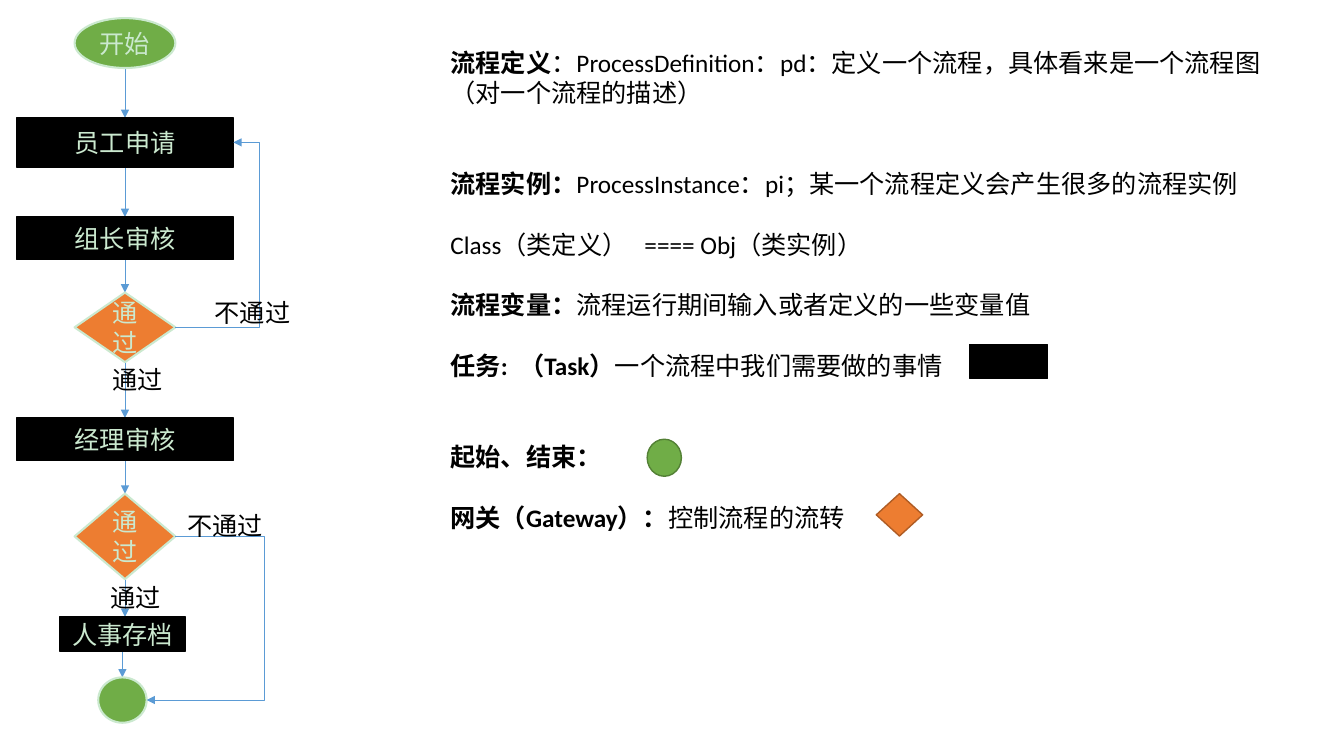
import itertools
import pptx
import pptx.util
import pptx.dml.color
import pptx.enum.shapes
import pptx.enum.text
import pptx.oxml
import pptx.oxml.ns

RGB = pptx.dml.color.RGBColor
BLACK = RGB(0x00, 0x00, 0x00)
MINT = RGB(0xCB, 0xE9, 0xCF)
GREEN = RGB(0x70, 0xAD, 0x47)
DARK_GREEN = RGB(0x53, 0x80, 0x35)
ORANGE = RGB(0xED, 0x7D, 0x31)
DARK_ORANGE = RGB(0xAF, 0x5C, 0x24)
BLUE = RGB(0x5B, 0x9B, 0xD5)

SHAPE = pptx.enum.shapes.MSO_SHAPE
LINK = pptx.enum.shapes.MSO_CONNECTOR
ALIGN = pptx.enum.text.PP_ALIGN

deck = pptx.Presentation()
deck.slide_width = pptx.util.Inches(13.33)
deck.slide_height = pptx.util.Inches(7.5)
slide = deck.slides.add_slide(deck.slide_layouts[6])

# Grid: 100 columns by 100 rows
COL = deck.slide_width / 100
ROW = deck.slide_height / 100


def write(text, *, box=None, kind=None, fill=None, line=None, weight=1.0,
          color=BLACK, align=ALIGN.LEFT, wrap=True):
    """Place text at box; each paragraph is (space before, [(words, bold), ...])."""
    left, top, width, height = box
    frame = (round(left * COL), round(top * ROW), round(width * COL), round(height * ROW))
    if kind is None:
        item = slide.shapes.add_textbox(*frame)
    else:
        item = slide.shapes.add_shape(kind, *frame)
        item.shadow.inherit = False
        item.fill.solid()
        item.fill.fore_color.rgb = fill
        item.line.color.rgb = line
        item.line.width = pptx.util.Pt(weight)
    body = item.text_frame
    body.word_wrap = wrap
    paragraphs = [(0, [(text, False)])] if isinstance(text, str) else text
    for number, (gap, pieces) in enumerate(paragraphs):
        paragraph = body.add_paragraph() if number else body.paragraphs[0]
        paragraph.alignment = align
        paragraph.space_before = pptx.util.Pt(gap)
        for words, bold in pieces:
            if words:
                run = paragraph.add_run()
                run.text = words
                run.font.name = "Calibri"
                run.font.size = pptx.util.Pt(18)
                run.font.bold = bold
                run.font.color.rgb = color


def arrow(x1, y1, x2, y2, detour=None):
    """Draw an arrow; detour is the column where a bent one turns."""
    link = slide.shapes.add_connector(
        LINK.STRAIGHT if detour is None else LINK.ELBOW,
        round(x1 * COL), round(y1 * ROW), round(x2 * COL), round(y2 * ROW))
    link.line.color.rgb = BLUE
    link.line.width = pptx.util.Pt(0.5)
    properties = link._element.spPr
    head = pptx.oxml.ns.qn("a:tailEnd")
    link.line._get_or_add_ln().append(properties.makeelement(head, {"type": "triangle"}))
    properties.append(properties.makeelement(pptx.oxml.ns.qn("a:effectLst"), {}))
    if detour is not None:
        turn = round((detour - x1) / (x2 - x1) * 100000)
        guides = properties.find(".//" + pptx.oxml.ns.qn("a:avLst"))
        guides.append(guides.makeelement(
            pptx.oxml.ns.qn("a:gd"), {"name": "adj1", "fmla": f"val {turn}"}))


# Flow steps: words, look, centre column, top row, width, height
ROUND = (SHAPE.OVAL, GREEN, MINT, 1.5)
TASK = (SHAPE.RECTANGLE, BLACK, BLACK, 1)
GATE = (SHAPE.DIAMOND, ORANGE, MINT, 1.5)
AXIS, END_AXIS = 9.3, 9.11
steps = [
    ("开始", ROUND, AXIS, 2.4, 7.5, 6.6),
    ("员工申请", TASK, AXIS, 15.6, 16.13, 6.5),
    ("组长审核", TASK, AXIS, 28.7, 16.13, 5.6),
    ("通过", GATE, AXIS, 38.7, 7.5, 9.2),
    ("经理审核", TASK, AXIS, 55.3, 16.13, 5.6),
    ("通过", GATE, AXIS, 65.3, 7.5, 11.3),
    ("人事存档", TASK, END_AXIS, 81.6, 9.38, 4.5),
    ("", ROUND, END_AXIS, 89.6, 3.6, 6),
]

# Arrows down the flow
for (_, _, axis, top, _, height), following in itertools.pairwise(steps):
    arrow(axis, top + height, axis, following[3])

for words, (kind, fill, line, weight), axis, top, width, height in steps:
    write(words, box=(axis - width / 2, top, width, height), kind=kind, fill=fill,
          line=line, weight=weight, color=MINT, align=ALIGN.CENTER)

# Rejections: from a gate's right side to another step's right side
for gate, target, detour in ((3, 1, 19.28), (5, 7, 19.65)):
    (x1, y1), (x2, y2) = [
        (axis + width / 2, top + height / 2)
        for _, _, axis, top, width, height in (steps[gate], steps[target])]
    arrow(x1, y1, x2, y2, detour)

# Branch labels
for words, left, top, width in (("不通过", 15.23, 38.7, 7.2), ("通过", 7.65, 47.6, 5.3),
                                ("通过", 7.5, 76.4, 5.3), ("不通过", 13.2, 66.8, 7.2)):
    write(words, box=(left, top, width, 5.3), wrap=False)

# Definitions, spaced by whole lines
LINE = 21.7
write([
    (0, [("流程定义", True),
         ("：ProcessDefinition：pd：定义一个流程，具体看来是一个流程图（对一个流程的描述）", False)]),
    (2 * LINE, [("流程实例：", True),
                ("ProcessInstance：pi；某一个流程定义会产生很多的流程实例", False)]),
    (LINE, [("Class（类定义）   ==== Obj（类实例）", False)]),
    (LINE, [("流程变量：", True), ("流程运行期间输入或者定义的一些变量值", False)]),
    (LINE, [("任务:  （Task）", True), ("一个流程中我们需要做的事情", False)]),
    (2 * LINE, [("起始、结束：", True)]),
    (LINE, [("网关（Gateway）：", True), ("控制流程的流转", False)]),
], box=(32.78, 5.6, 64.9, 78.1))

# Legend symbols beside the definitions
for kind, fill, line, box in (
        (SHAPE.RECTANGLE, BLACK, BLACK, (72.15, 45.6, 5.8, 4.5)),
        (SHAPE.OVAL, GREEN, DARK_GREEN, (48.15, 58.1, 2.55, 4.9)),
        (SHAPE.DIAMOND, ORANGE, DARK_ORANGE, (65.2, 65.3, 3.45, 5.6))):
    write("", box=box, kind=kind, fill=fill, line=line)

deck.save("out.pptx")
